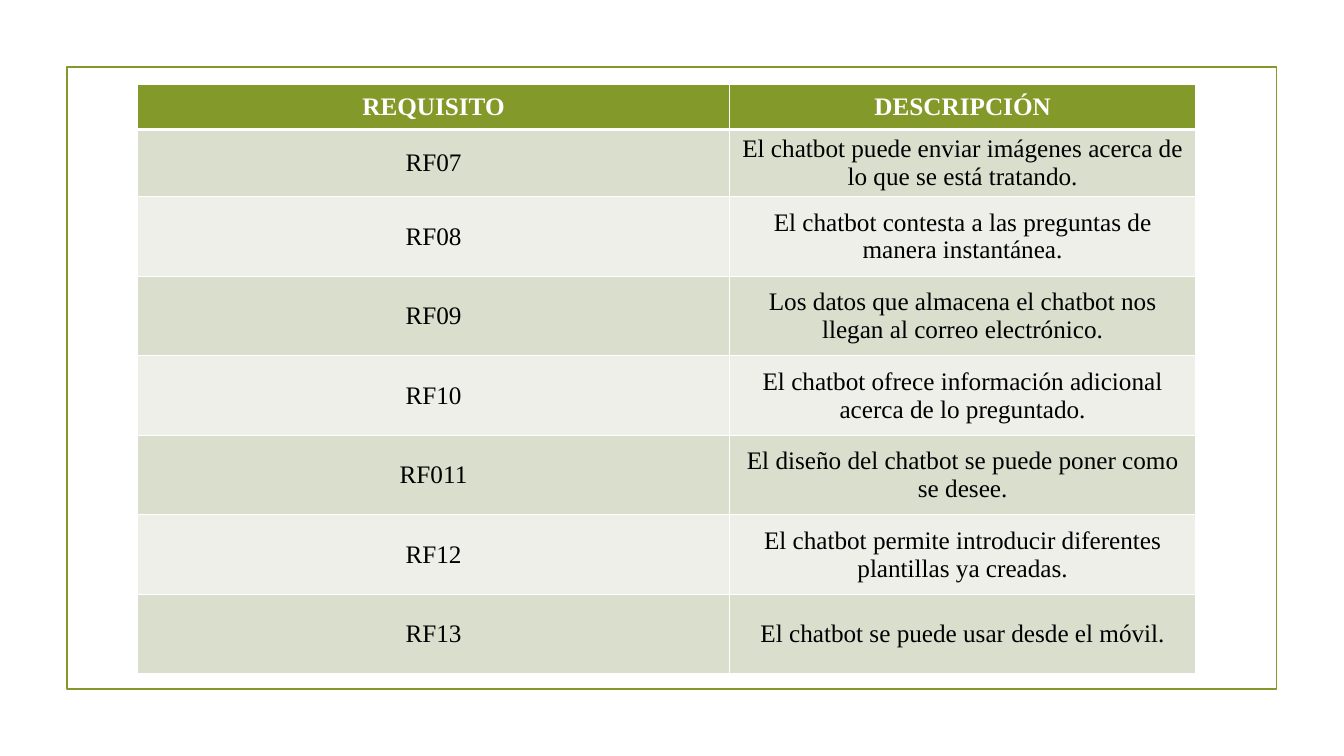
from lxml.etree import SubElement
from pptx import Presentation
from pptx.dml.color import RGBColor
from pptx.enum.shapes import MSO_SHAPE
from pptx.enum.text import MSO_ANCHOR, PP_ALIGN
from pptx.oxml.ns import qn
from pptx.util import Pt

COLORS = {"green": "83992A", "dark": "D9DECD", "light": "EDEFE8",
          "white": "FFFFFF", "black": "000000"}
FONT = "Times New Roman"
HEADS = ("REQUISITO", "DESCRIPCIÓN")
NEEDS = [
    ("RF07", "El chatbot puede enviar imágenes acerca de lo que se está tratando."),
    ("RF08", "El chatbot contesta a las preguntas de manera instantánea."),
    ("RF09", "Los datos que almacena el chatbot nos llegan al correo electrónico."),
    ("RF10", "El chatbot ofrece información adicional acerca de lo preguntado."),
    ("RF011", "El diseño del chatbot se puede poner como se desee."),
    ("RF12", "El chatbot permite introducir diferentes plantillas ya creadas."),
    ("RF13", "El chatbot se puede usar desde el móvil."),
]


def paint(fill, name):
    fill.solid()
    fill.fore_color.rgb = RGBColor.from_string(COLORS[name])


def write(frame, text, size=18, color="black", bold=False, align=PP_ALIGN.CENTER):
    line = frame.paragraphs[0]
    line.alignment = align
    run = line.add_run()
    run.text = text
    run.font.name = FONT
    run.font.size = Pt(size)
    run.font.bold = bold
    run.font.color.rgb = RGBColor.from_string(COLORS[color])


def edge(cell, **widths):
    """Draw white cell borders; keys are the sides L, R, T and B."""
    props = cell._tc.get_or_add_tcPr()
    for spot, (side, width) in enumerate(widths.items()):
        line = SubElement(props, qn(f"a:ln{side}"), w=str(Pt(width)))
        fill = SubElement(line, qn("a:solidFill"))
        SubElement(fill, qn("a:srgbClr"), val=COLORS["white"])
        props.insert(spot, line)


def draw_frame(slide, left, top, width, height):
    frame = slide.shapes.add_shape(MSO_SHAPE.RECTANGLE, Pt(left), Pt(top),
                                   Pt(width), Pt(height))
    frame.shadow.inherit = False
    frame.fill.background()
    frame.line.color.rgb = RGBColor.from_string(COLORS["green"])
    frame.line.width = Pt(1.25)


def draw_table(slide, left, top, width, height):
    rows = [HEADS] + NEEDS
    head, first = 32.5, 48
    rest = (height - head - first) / (len(rows) - 2)
    table = slide.shapes.add_table(len(rows), len(HEADS), Pt(left), Pt(top),
                                   Pt(width), Pt(height)).table
    for col, share in zip(table.columns, (0.56, 0.44)):
        col.width = Pt(width * share)
    for r, row in enumerate(rows):
        table.rows[r].height = Pt((head, first)[r] if r < 2 else rest)
        for c, text in enumerate(row):
            cell = table.cell(r, c)
            cell.vertical_anchor = MSO_ANCHOR.MIDDLE
            if r == 0:
                paint(cell.fill, "green")
                write(cell.text_frame, text, color="white", bold=True)
            else:
                paint(cell.fill, "dark" if r % 2 else "light")
                write(cell.text_frame, text)
            edge(cell, L=1, R=1, T=3 if r == 1 else 1, B=3 if r == 0 else 1)


def main():
    deck = Presentation()
    deck.slide_width, deck.slide_height = Pt(960), Pt(540)
    slide = deck.slides.add_slide(deck.slide_layouts[6])
    paint(slide.background.fill, "white")
    draw_frame(slide, 47.75, 48, 864, 444)
    draw_table(slide, 98, 60, 756, 421.5)
    deck.save("out.pptx")


if __name__ == "__main__":
    main()
